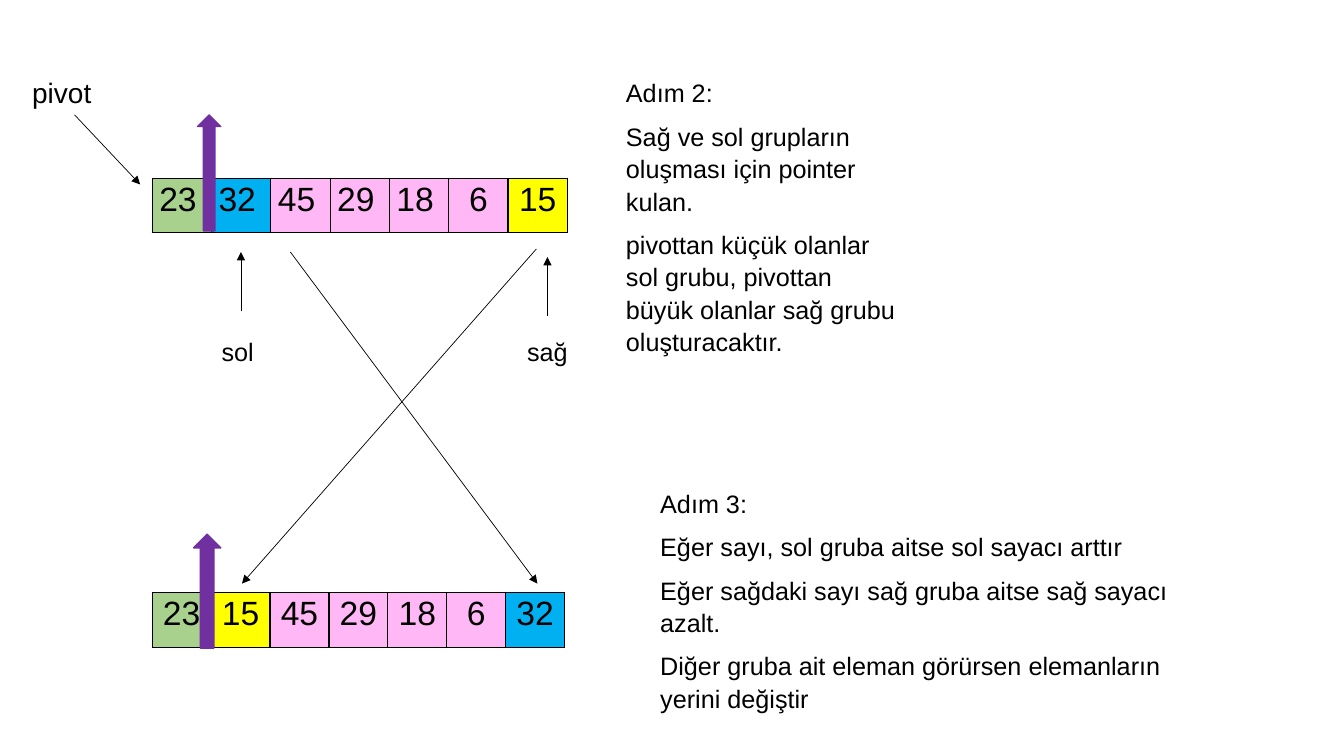
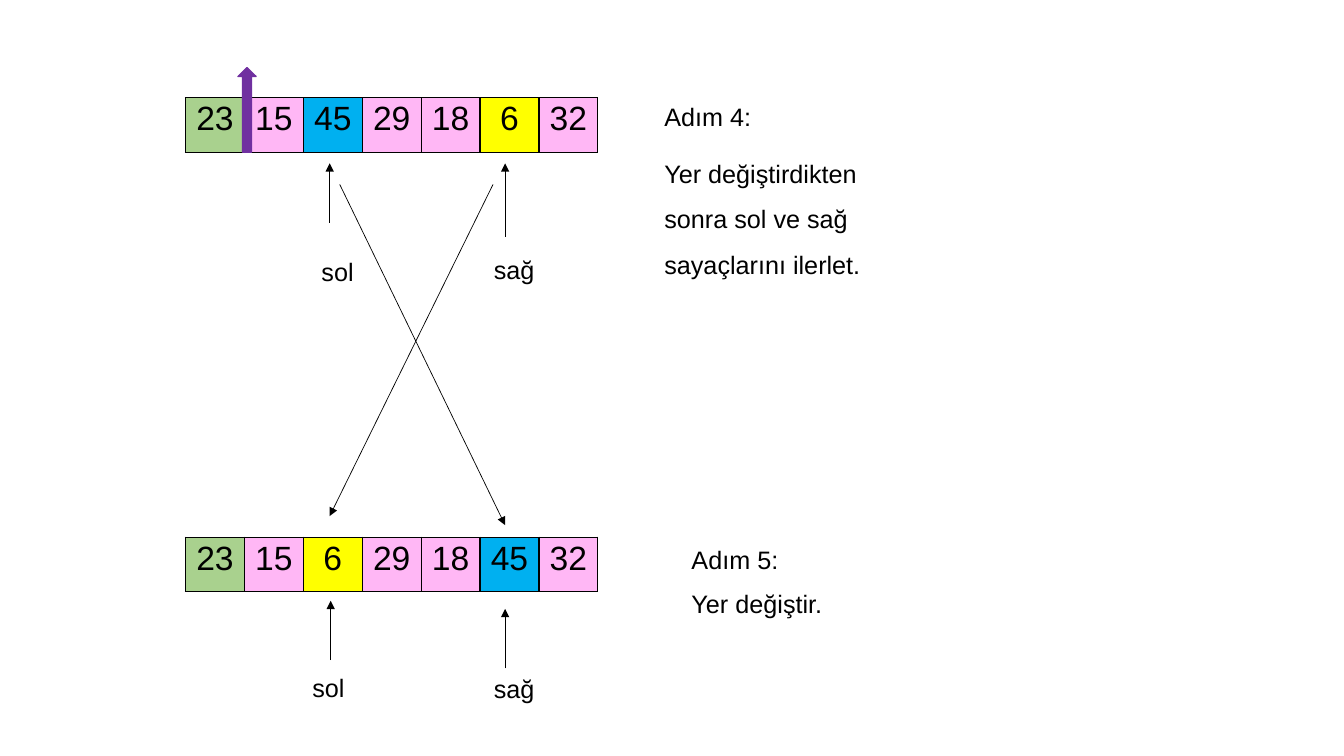
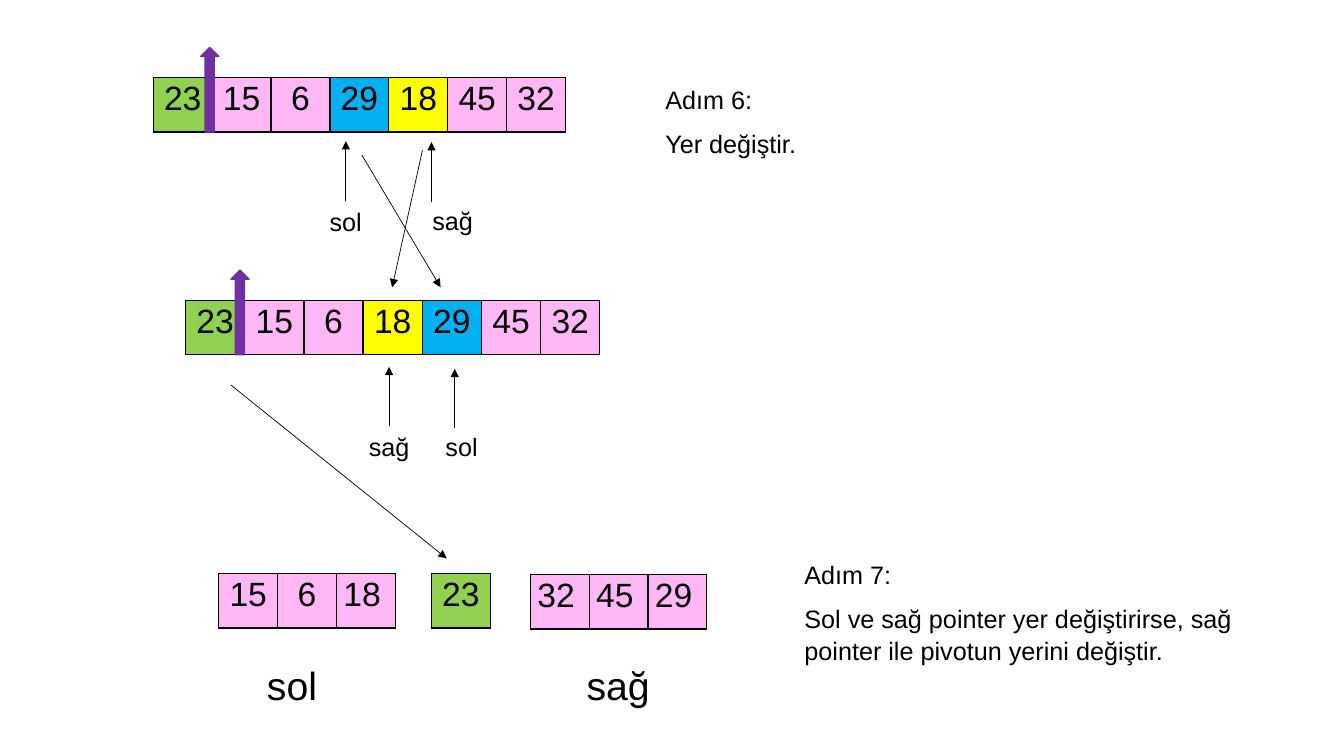
from pptx import Presentation
from pptx.dml.color import RGBColor
from pptx.enum.shapes import MSO_CONNECTOR, MSO_SHAPE
from pptx.enum.text import MSO_AUTO_SIZE, PP_ALIGN
from pptx.oxml import parse_xml
from pptx.oxml.ns import nsdecls, qn
from pptx.util import Inches, Pt

LEFT, CENTER = PP_ALIGN.LEFT, PP_ALIGN.CENTER
STRAIGHT = MSO_CONNECTOR.STRAIGHT
UP_ARROW = MSO_SHAPE.UP_ARROW
GROW = MSO_AUTO_SIZE.SHAPE_TO_FIT_TEXT

FONT = "Arial"
COLORS = {
    "ink": "000000",
    "marker": "7030A0",
    "sage": "A9D18E",
    "green": "92D050",
    "blue": "00B0F0",
    "yellow": "FFFF00",
    "pink": "FFB7F5",
}
ROW_HEIGHT = 0.54
ROW_WIDTH = 4.09
GROUP_WIDTH = 1.75
LABEL_WIDTHS = {"sol": 0.54, "sağ": 0.94, "pivot": 0.81}


def color(name):
    return RGBColor.from_string(COLORS[name])


def format_paragraph(paragraph, size, align=LEFT, spacing=None, after=None):
    paragraph.font.name = FONT
    paragraph.font.size = Pt(size)
    paragraph.font.color.rgb = color("ink")
    paragraph.alignment = align
    if spacing:
        paragraph.line_spacing = spacing
    if after:
        paragraph.space_after = Pt(after)


# Array rows
def add_borders(cell):
    properties = cell._tc.get_or_add_tcPr()
    for position, side in enumerate(("lnL", "lnR", "lnT", "lnB")):
        properties.insert(position, parse_xml(
            f'<a:{side} {nsdecls("a")} w="12700"><a:solidFill>'
            f'<a:srgbClr val="{COLORS["ink"]}"/></a:solidFill></a:{side}>'))


def add_array(slide, left, top, values, fills=None, width=ROW_WIDTH, left_aligned=()):
    """Draw one row of numbers; cells not named in fills are pink."""
    fills = fills or {}
    array = slide.shapes.add_table(1, len(values), Inches(left), Inches(top),
                                   Inches(width), Inches(ROW_HEIGHT)).table
    array.first_row = array.horz_banding = False
    array.rows[0].height = Inches(ROW_HEIGHT)
    for index, value in enumerate(values):
        array.columns[index].width = Inches(width / len(values))
        cell = array.cell(0, index)
        cell.text = str(value)
        cell.margin_left = cell.margin_right = Inches(0.07)
        cell.margin_top = cell.margin_bottom = 0
        cell.fill.solid()
        cell.fill.fore_color.rgb = color(fills.get(value, "pink"))
        align = LEFT if value in left_aligned else CENTER
        format_paragraph(cell.text_frame.paragraphs[0], 24, align, 1.07)
        add_borders(cell)


# Arrows
def add_marker(slide, left, top, width=0.18, height=0.84):
    marker = slide.shapes.add_shape(UP_ARROW, Inches(left), Inches(top),
                                    Inches(width), Inches(height))
    marker.shadow.inherit = False
    marker.fill.solid()
    marker.fill.fore_color.rgb = color("marker")
    marker.line.color.rgb = color("marker")
    marker.line.width = Pt(1)


def add_arrow(slide, start, end):
    arrow = slide.shapes.add_connector(STRAIGHT, *map(Inches, start + end))
    arrow.line.color.rgb = color("ink")
    arrow.line.width = Pt(0.5)
    properties = arrow._element.spPr
    properties.find(qn("a:ln")).append(
        parse_xml(f'<a:tailEnd {nsdecls("a")} type="triangle"/>'))
    properties.append(parse_xml(f'<a:effectLst {nsdecls("a")}/>'))


# Text
def add_text(slide, left, top, width, height, lines, size=18, spacing=None, after=None):
    box = slide.shapes.add_textbox(Inches(left), Inches(top), Inches(width), Inches(height))
    frame = box.text_frame
    frame.word_wrap = True
    frame.auto_size = GROW
    frame.text = "\n".join(lines)
    for paragraph in frame.paragraphs:
        format_paragraph(paragraph, size, spacing=spacing, after=after)


def add_step(slide, left, top, width, height, *lines, spacing=1.07):
    add_text(slide, left, top, width, height, lines, spacing=spacing, after=8)


def add_label(slide, text, left, top, size=18):
    add_text(slide, left, top, LABEL_WIDTHS[text], 0.4, [text], size)


def add_pointer(slide, text, x, tip, label_left, label_top, length=0.59):
    add_arrow(slide, (x, tip + length), (x, tip))
    add_label(slide, text, label_left, label_top)


# Slides
def build_first_swap(slide):
    add_array(slide, 1.51, 1.77, [23, 32, 45, 29, 18, 6, 15],
              {23: "sage", 32: "blue", 15: "yellow"}, 4.12, (23, 32, 45, 29, 18))
    add_marker(slide, 1.96, 1.14, 0.23, 1.15)
    add_label(slide, "pivot", 0.22, 0.7, 20)
    add_arrow(slide, (0.74, 1.14), (1.39, 1.83))
    add_pointer(slide, "sol", 2.39, 2.5, 2.1, 3.29)
    add_pointer(slide, "sağ", 5.43, 2.55, 5.13, 3.29)
    add_step(slide, 6.45, 4.77, 5.47, 2.36, "Adım 3:",
             "Eğer sayı, sol gruba aitse sol sayacı arttır",
             "Eğer sağdaki sayı sağ gruba aitse sağ sayacı azalt.",
             "Diğer gruba ait eleman görürsen elemanların yerini değiştir")
    add_step(slide, 6.11, 0.7, 2.92, 2.89, "Adım 2:",
             "Sağ ve sol grupların oluşması için pointer kulan.",
             "pivottan küçük olanlar sol grubu, pivottan büyük olanlar "
             "sağ grubu oluşturacaktır.")
    add_array(slide, 1.51, 5.88, [23, 15, 45, 29, 18, 6, 32],
              {23: "sage", 15: "yellow", 32: "blue"})
    add_marker(slide, 1.92, 5.3, 0.27, 1.13)
    add_arrow(slide, (2.88, 2.5), (5.33, 5.79))
    add_arrow(slide, (5.32, 2.47), (2.4, 5.79))


def build_second_swap(slide):
    fills = {23: "sage", 45: "blue", 6: "yellow"}
    add_array(slide, 1.84, 0.97, [23, 15, 45, 29, 18, 6, 32], fills)
    add_pointer(slide, "sol", 3.27, 1.62, 3.09, 2.49)
    add_pointer(slide, "sağ", 5.01, 1.62, 4.8, 2.47, 0.73)
    add_marker(slide, 2.36, 0.67)
    add_step(slide, 6.49, 0.81, 2.78, 1.97, "Adım 4:",
             "Yer değiştirdikten sonra sol ve sağ sayaçlarını ilerlet.", spacing=1.5)
    add_array(slide, 1.84, 5.33, [23, 15, 6, 29, 18, 45, 32], fills)
    add_arrow(slide, (4.89, 1.83), (3.27, 5.12))
    add_arrow(slide, (3.37, 1.83), (5.01, 5.21))
    add_step(slide, 6.76, 5.33, 2.32, 0.85, "Adım 5:", "Yer değiştir.")
    add_pointer(slide, "sol", 3.28, 5.96, 3, 6.62)
    add_pointer(slide, "sağ", 5.01, 6.04, 4.8, 6.63)


def build_pivot_placement(slide):
    fills = {23: "green", 29: "blue", 18: "yellow"}
    add_array(slide, 1.52, 0.77, [23, 15, 6, 29, 18, 45, 32], fills)
    add_array(slide, 1.84, 2.98, [23, 15, 6, 18, 29, 45, 32], fills, 4.11)
    add_arrow(slide, (3.59, 1.54), (4.37, 2.85))
    add_arrow(slide, (4.19, 1.49), (3.89, 2.85))
    add_pointer(slide, "sol", 3.43, 1.4, 3.17, 2)
    add_pointer(slide, "sağ", 4.28, 1.41, 4.19, 1.99)
    add_pointer(slide, "sağ", 3.86, 3.64, 3.56, 4.23)
    add_pointer(slide, "sol", 4.51, 3.66, 4.32, 4.23)
    add_marker(slide, 1.99, 0.47)
    add_marker(slide, 2.29, 2.68)
    add_step(slide, 6.5, 0.77, 1.75, 0.84, "Adım 6:", "Yer değiştir.")

    # Left group, pivot, right group
    add_array(slide, 2.17, 5.69, [15, 6, 18], width=GROUP_WIDTH, left_aligned=(18,))
    add_array(slide, 4.28, 5.69, [23], fills, GROUP_WIDTH / 3)
    add_array(slide, 5.26, 5.7, [32, 45, 29], width=GROUP_WIDTH, left_aligned=(32, 45, 29))
    add_arrow(slide, (2.29, 3.82), (4.43, 5.54))
    add_text(slide, 2.55, 6.51, 0.73, 0.57, ["sol"], 28)
    add_text(slide, 5.72, 6.51, 0.94, 0.57, ["sağ"], 28)
    add_step(slide, 7.88, 5.48, 4.7, 1.61, "Adım 7:",
             "Sol ve sağ pointer yer değiştirirse, sağ pointer ile pivotun yerini değiştir.")


def main():
    deck = Presentation()
    deck.slide_width, deck.slide_height = Inches(13.33), Inches(7.5)
    blank = deck.slide_layouts[6]
    for build in (build_first_swap, build_second_swap, build_pivot_placement):
        build(deck.slides.add_slide(blank))
    deck.save("out.pptx")


main()
